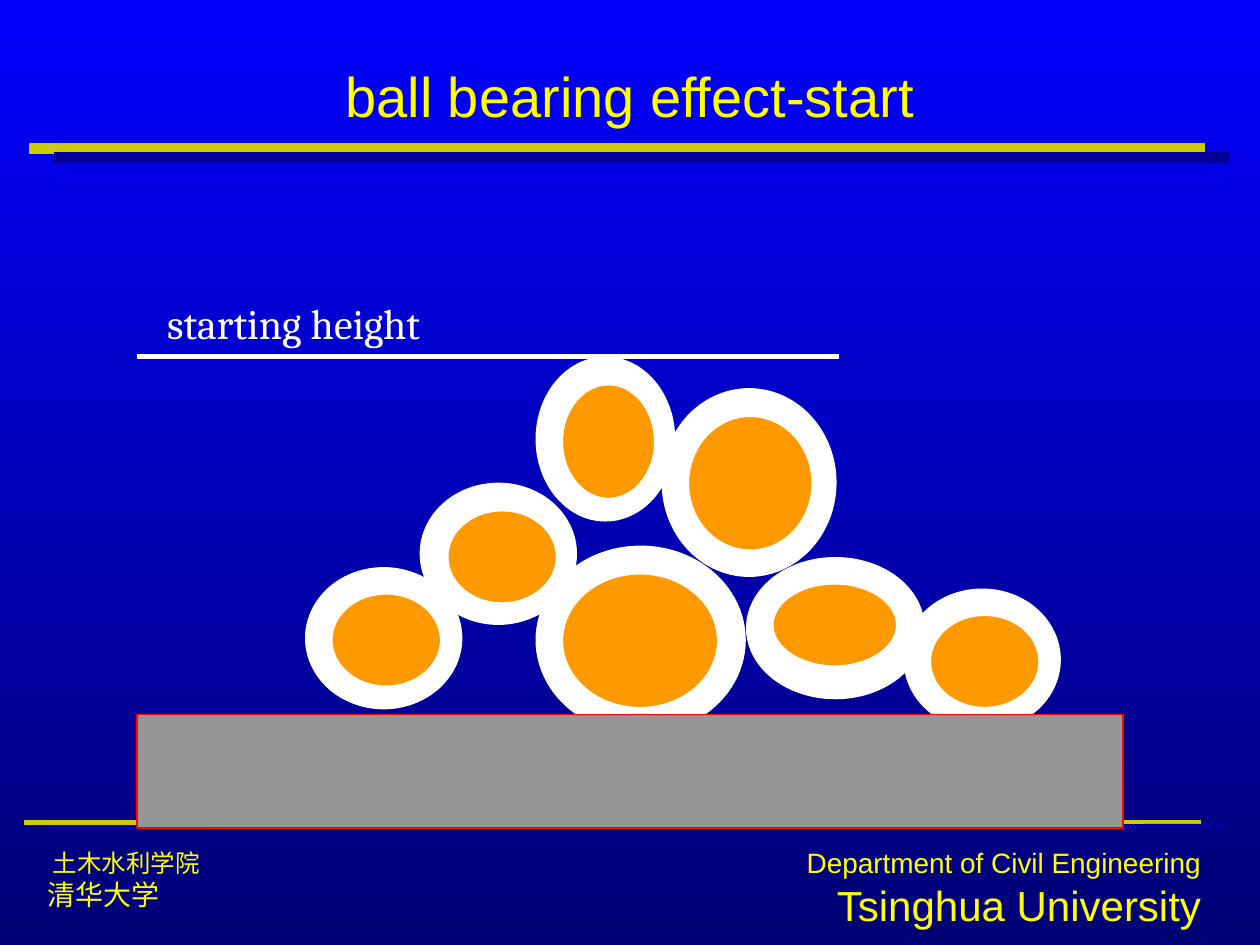
"""Build the slide on the ball bearing effect at its starting height."""
from dataclasses import dataclass

from lxml.etree import SubElement
from pptx import Presentation
from pptx.dml.color import RGBColor as Rgb
from pptx.enum.shapes import MSO_CONNECTOR as Connector, MSO_SHAPE as Shape
from pptx.enum.text import MSO_ANCHOR as Anchor, PP_ALIGN as Align
from pptx.oxml.ns import qn
from pptx.util import Pt

PX = 9144
SLIDE = (1000, 750)


@dataclass(frozen=True)
class Theme:
    sky: tuple = ("0000FF", "000075")
    yellow: str = "FFFF00"
    rule: str = "CCCC00"
    shade: str = "000099"
    white: str = "FFFFFF"
    orange: str = "FF9900"
    gray: str = "969696"
    red: str = "FF0000"
    sans: str = "Arial"
    serif: str = "Cambria"
    title: int = 32
    label: int = 24
    medium: int = 16
    small: int = 14


THEME = Theme()

TITLE = ("ball bearing effect-start", (75, 39, 850, 68))
RULES = [
    ((23, 118, 956, 118), THEME.rule, 6),
    ((43, 125, 976, 125), THEME.shade, 6),
    ((19, 653, 953, 653), THEME.rule, 3),
    ((38, 657, 975, 656), THEME.shade, 3),
]
HEIGHT_LINE = ((109, 283, 666, 283), THEME.white, 3)
BALLS = [
    ((432, 440, 153, 136), (440, 449, 136, 119)),
    ((340, 390, 111, 99), (349, 399, 99, 86)),
    ((432, 290, 97, 117), (440, 299, 86, 103)),
    ((532, 315, 125, 136), (540, 324, 111, 119)),
    ((599, 449, 128, 99), (607, 457, 111, 78)),
    ((724, 474, 111, 99), (732, 482, 99, 86)),
    ((249, 457, 111, 99), (257, 465, 99, 86)),
]
BASE = (109, 567, 782, 90)
FOOTERS = [
    ((28, 668, 398, 60), Align.LEFT,
     [("土木水利学院", THEME.small, 4), ("清华大学", THEME.medium, 0)]),
    ((565, 666, 398, 77), Align.RIGHT,
     [("Department of Civil Engineering", THEME.medium, 0),
      ("Tsinghua University", THEME.label, 0)]),
]
LABEL = ((107, 231, 252, 50), Align.CENTER, [("starting height", THEME.label, 0)])


def emu(lengths):
    return [length * PX for length in lengths]


def apply(target, values):
    for name, value in values.items():
        setattr(target, name, value)


def style_font(font, size, color, name):
    apply(font, {"size": Pt(size), "name": name, "bold": False})
    font.color.rgb = Rgb.from_string(color)


def style_line(line, color, width):
    line.color.rgb = Rgb.from_string(color)
    line.width = Pt(width)


def add_rule(page, ends, color, width):
    rule = page.shapes.add_connector(Connector.STRAIGHT, *emu(ends))
    style_line(rule.line, color, width)
    SubElement(rule._element.spPr, qn("a:effectLst"))


def add_solid(page, kind, place, fill, line, width):
    solid = page.shapes.add_shape(kind, *emu(place))
    solid.shadow.inherit = False
    solid.fill.solid()
    solid.fill.fore_color.rgb = Rgb.from_string(fill)
    style_line(solid.line, line, width)


def add_text(page, place, align, rows, color, font, anchor, wrap):
    frame = page.shapes.add_textbox(*emu(place)).text_frame
    apply(frame, {"word_wrap": wrap, "vertical_anchor": anchor})
    for index, (text, size, indent) in enumerate(rows):
        para = frame.add_paragraph() if index else frame.paragraphs[0]
        para.alignment = align
        if indent:
            para._p.get_or_add_pPr().set("marL", str(indent * PX))
        span = para.add_run()
        span.text = text
        style_font(span.font, size, color, font)


def paint_background(page):
    fill = page.background.fill
    fill.gradient()
    fill.gradient_angle = 270
    for stop, color, position in zip(fill.gradient_stops, THEME.sky, (0, 1)):
        stop.color.rgb = Rgb.from_string(color)
        stop.position = position


def set_title(page, text, place):
    title = page.shapes.title
    apply(title, dict(zip(("left", "top", "width", "height"), emu(place))))
    frame = title.text_frame
    frame.text = text
    apply(frame, {"vertical_anchor": Anchor.BOTTOM, "word_wrap": True})
    para = frame.paragraphs[0]
    para.alignment = Align.CENTER
    style_font(para.runs[0].font, THEME.title, THEME.yellow, THEME.sans)


def main():
    deck = Presentation()
    deck.slide_width, deck.slide_height = emu(SLIDE)
    page = deck.slides.add_slide(deck.slide_layouts[5])
    paint_background(page)
    set_title(page, *TITLE)
    for rule in RULES:
        add_rule(page, *rule)
    for footer in FOOTERS:
        add_text(page, *footer, THEME.yellow, THEME.sans, Anchor.MIDDLE, True)
    for layer in zip(*BALLS):
        for place in layer:
            add_solid(page, Shape.OVAL, place, THEME.orange, THEME.white, 10)
    add_solid(page, Shape.RECTANGLE, BASE, THEME.gray, THEME.red, 1)
    add_rule(page, *HEIGHT_LINE)
    add_text(page, *LABEL, THEME.white, THEME.serif, Anchor.TOP, False)
    deck.save("out.pptx")


if __name__ == "__main__":
    main()
